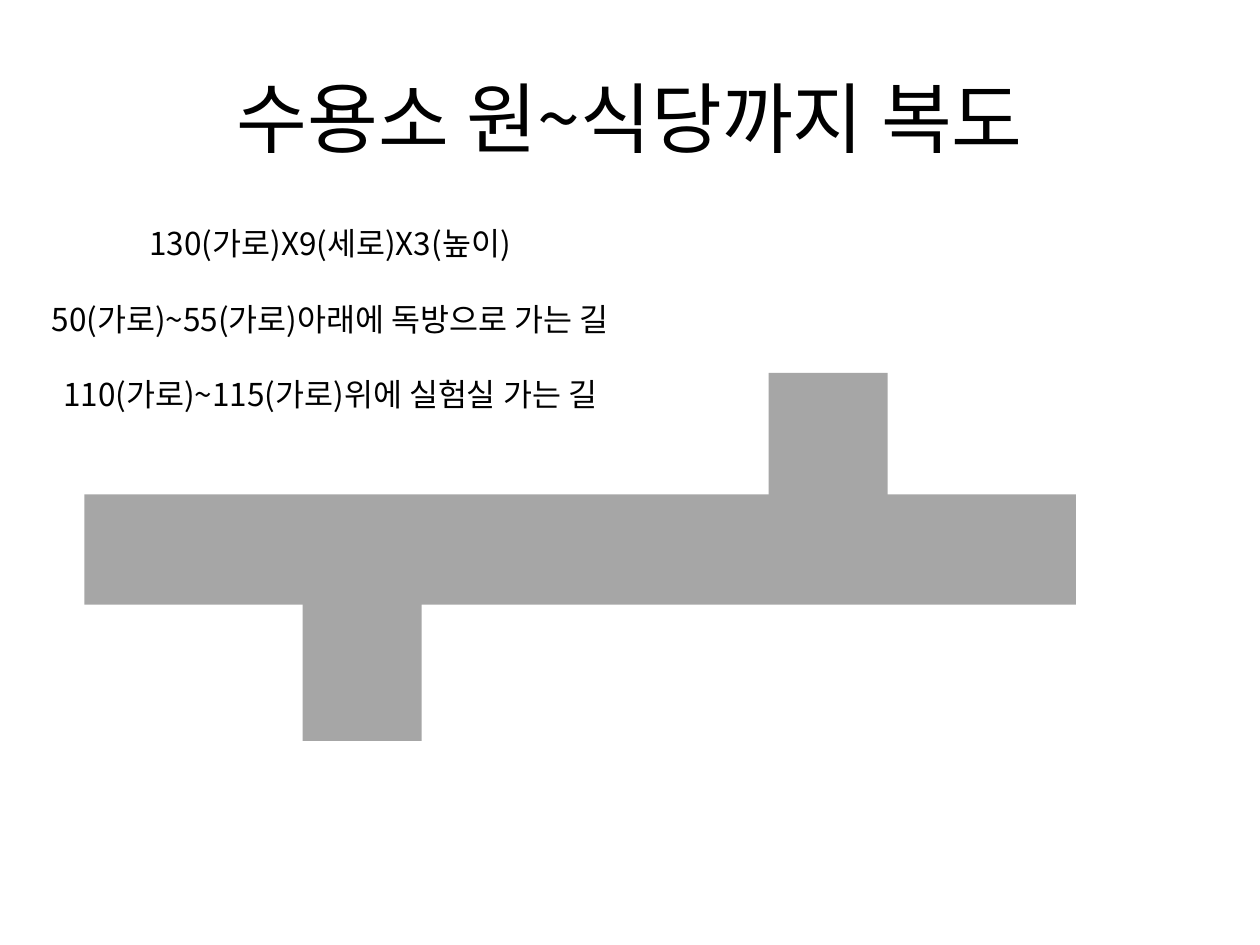
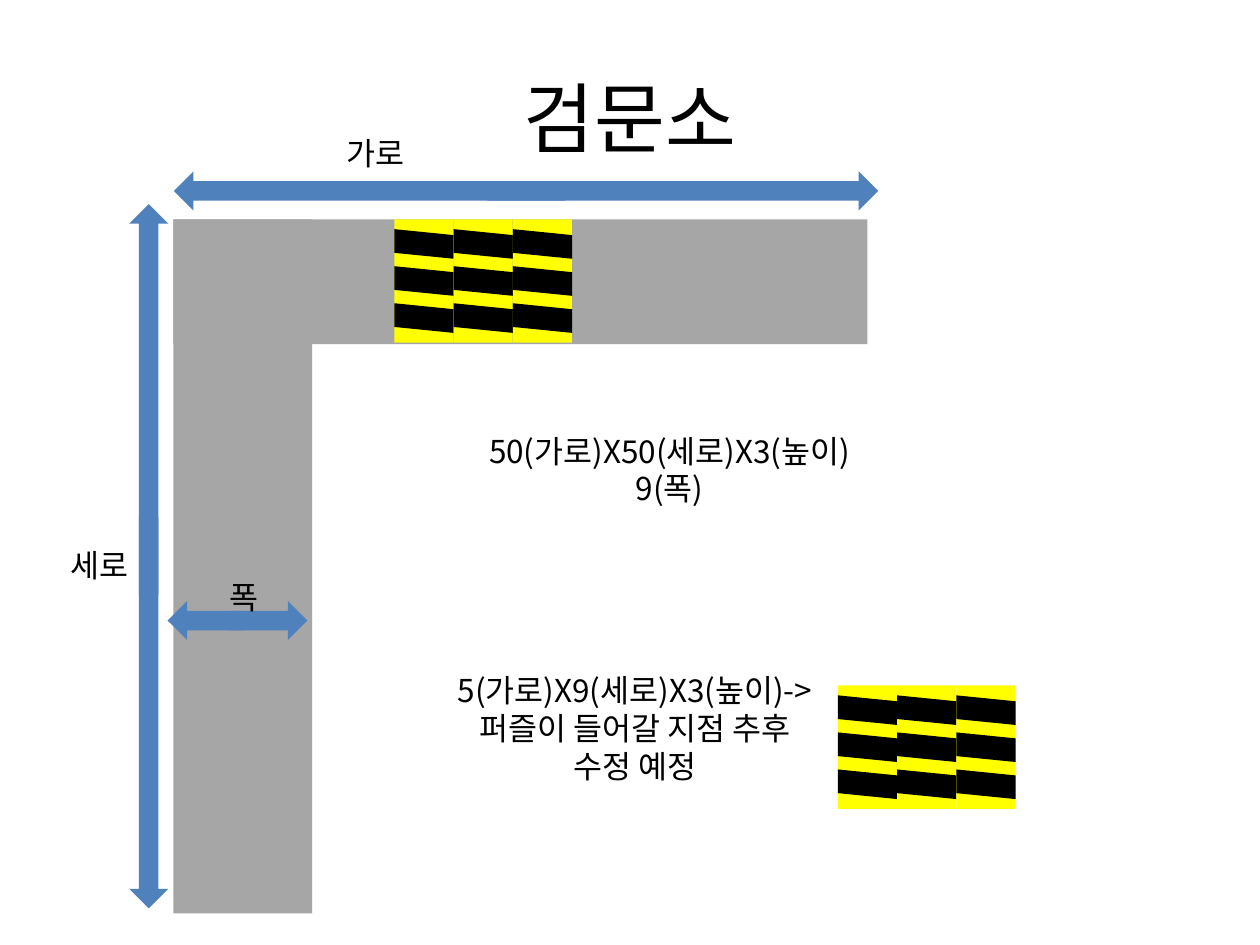
from dataclasses import dataclass

from lxml.etree import SubElement
from pptx import Presentation
from pptx.dml.color import RGBColor as Rgb
from pptx.enum.shapes import MSO_SHAPE as Form
from pptx.enum.text import MSO_ANCHOR as Anchor, PP_ALIGN as Align
from pptx.oxml.ns import qn
from pptx.util import Inches, Pt


@dataclass(frozen=True)
class Theme:
    font: str = "Noto Sans CJK KR"
    ink: str = "000000"
    paper: str = "FFFFFF"
    floor: str = "A6A6A6"
    arrow: str = "4F81BD"
    hazard: str = "FFFF00"
    title: float = 44
    body: float = 18
    pitch: float = 21.6
    edge: float = 2


THEME = Theme()
COLS, ROWS = 100, 75
CELL = Inches(10) // COLS


@dataclass(frozen=True)
class Box:
    """A place on the slide, in grid columns and rows."""
    x: float
    y: float
    w: float
    h: float

    def cut(self, x, y, w, h):
        """Return the inner box given by shares of this one."""
        return Box(self.x + x * self.w, self.y + y * self.h, w * self.w, h * self.h)

    def emu(self):
        return [round(v * CELL) for v in (self.x, self.y, self.w, self.h)]


def around(cx, cy, w, h):
    """Return the box with the given centre."""
    return Box(cx - w / 2, cy - h / 2, w, h)


def block(shapes, box, fill, form=Form.RECTANGLE, turn=0, edge=None):
    shape = shapes.add_shape(form, *box.emu())
    shape.shadow.inherit = False
    shape.rotation = turn
    shape.fill.solid()
    shape.fill.fore_color.rgb = Rgb.from_string(fill)
    if edge:
        shape.line.color.rgb = Rgb.from_string(edge)
        shape.line.width = Pt(THEME.edge)
    else:
        shape.line.fill.background()
    return shape


def write(shape, *lines, size=THEME.body, pitch=None, gap=0):
    frame = shape.text_frame
    frame.word_wrap = True
    frame.vertical_anchor = Anchor.MIDDLE
    for i, line in enumerate(lines):
        para = frame.add_paragraph() if i else frame.paragraphs[0]
        para.alignment = Align.CENTER
        if pitch:
            para.line_spacing = Pt(pitch)
        if i and gap:
            para.space_before = Pt(gap)
        run = para.add_run()
        run.text = line
        run.font.size = Pt(size)
        run.font.color.rgb = Rgb.from_string(THEME.ink)
        run.font.name = THEME.font
        SubElement(run.font._element, qn("a:ea"), typeface=THEME.font)


def label(shapes, box, text, size=THEME.body):
    write(shapes.add_textbox(*box.emu()), text, size=size)


def note(shapes, box, *lines, gap=0, foot=0):
    """Write lines in a white box, raised by half of foot (points)."""
    shape = block(shapes, box, THEME.paper, edge=THEME.paper)
    shape.text_frame.margin_bottom = Inches(0.05) + Pt(foot)
    write(shape, *lines, pitch=THEME.pitch, gap=gap)


def span(shapes, cx, cy, length, upright=False):
    """Draw a two-way arrow from two halves that overlap in the middle."""
    group = shapes.add_group_shape().shapes
    half = length * 0.555
    shift = (length - half) / 2
    for way, turn in ((1, 0), (-1, 180)):
        dx, dy = (0, way * shift) if upright else (way * shift, 0)
        box = around(cx + dx, cy + dy, half, 3.1)
        block(group, box, THEME.arrow, Form.RIGHT_ARROW, turn + 90 * upright)


def sign(shapes, box, cols=3, bars=3):
    """Draw a yellow panel with slanted black bars in each column."""
    group = shapes.add_group_shape().shapes
    for col in range(cols):
        panel = box.cut(col / cols, 0, 1 / cols, 1)
        block(group, panel, THEME.hazard)
        for bar in range(bars):
            cy = panel.y + panel.h * (0.2 + 0.3 * bar)
            place = around(panel.x + panel.w / 2, cy, panel.h * 0.24, panel.w)
            block(group, place, THEME.ink, Form.FLOWCHART_DATA, 270)


def hall(shapes, box):
    """Draw the corridor with one branch down and one up."""
    for share in ((0, 0.33, 1, 0.3), (0.22, 0.57, 0.12, 0.43), (0.69, 0, 0.12, 0.43)):
        block(shapes, box.cut(*share), THEME.floor)


def corner(shapes, box):
    group = shapes.add_group_shape().shapes
    for share in ((0, 0, 1, 0.18), (0, 0, 0.2, 1)):
        block(group, box.cut(*share), THEME.floor)


def start(deck, title):
    shapes = deck.slides.add_slide(deck.slide_layouts[6]).shapes
    label(shapes, Box(5, 3, 90, 12.5), title, THEME.title)
    return shapes


def route(deck):
    shapes = start(deck, "수용소 원~식당까지 복도")
    note(shapes, Box(0, 15.5, 52.4, 19.6),
         "130(가로)X9(세로)X3(높이)",
         "50(가로)~55(가로)아래에 독방으로 가는 길",
         "110(가로)~115(가로)위에 실험실 가는 길", gap=THEME.pitch)
    hall(shapes, Box(6.7, 29.6, 78.7, 29.2))


def gate(deck):
    shapes = start(deck, "검문소")
    corner(shapes, Box(13.75, 17.4, 55.1, 55.1))
    note(shapes, Box(36, 28.8, 34.3, 19.9),
         "50(가로)X50(세로)X3(높이)", "9(폭)", foot=THEME.pitch)
    for cx, cy, length, upright, text, x, y in (
        (18.85, 49.25, 11.1, False, "폭", 9.6, 45.8),
        (11.8, 44.15, 55.9, True, "세로", -1.9, 43.3),
        (41.75, 15.15, 55.9, False, "가로", 20, 10.6),
    ):
        span(shapes, cx, cy, length, upright)
        label(shapes, Box(x, y, 19.6, 3.1), text)
    note(shapes, Box(31.9, 49.3, 37, 19.9),
         "5(가로)X9(세로)X3(높이)->", "퍼즐이 들어갈 지점 추후", "수정 예정",
         foot=THEME.pitch)
    for x, y in ((31.3, 17.4), (66.5, 54.4)):
        sign(shapes, Box(x, y, 14.1, 9.8))


def main():
    deck = Presentation()
    deck.slide_width, deck.slide_height = COLS * CELL, ROWS * CELL
    route(deck)
    gate(deck)
    deck.save("out.pptx")


if __name__ == "__main__":
    main()
